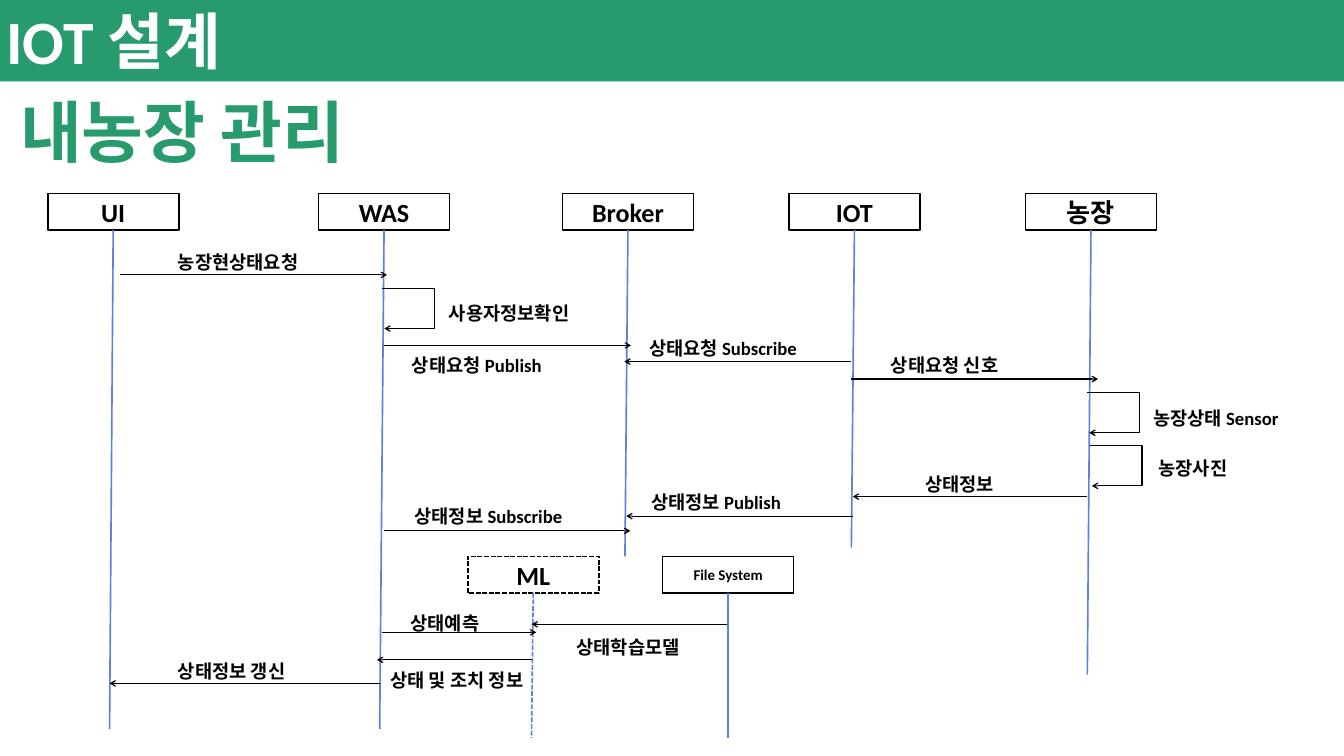
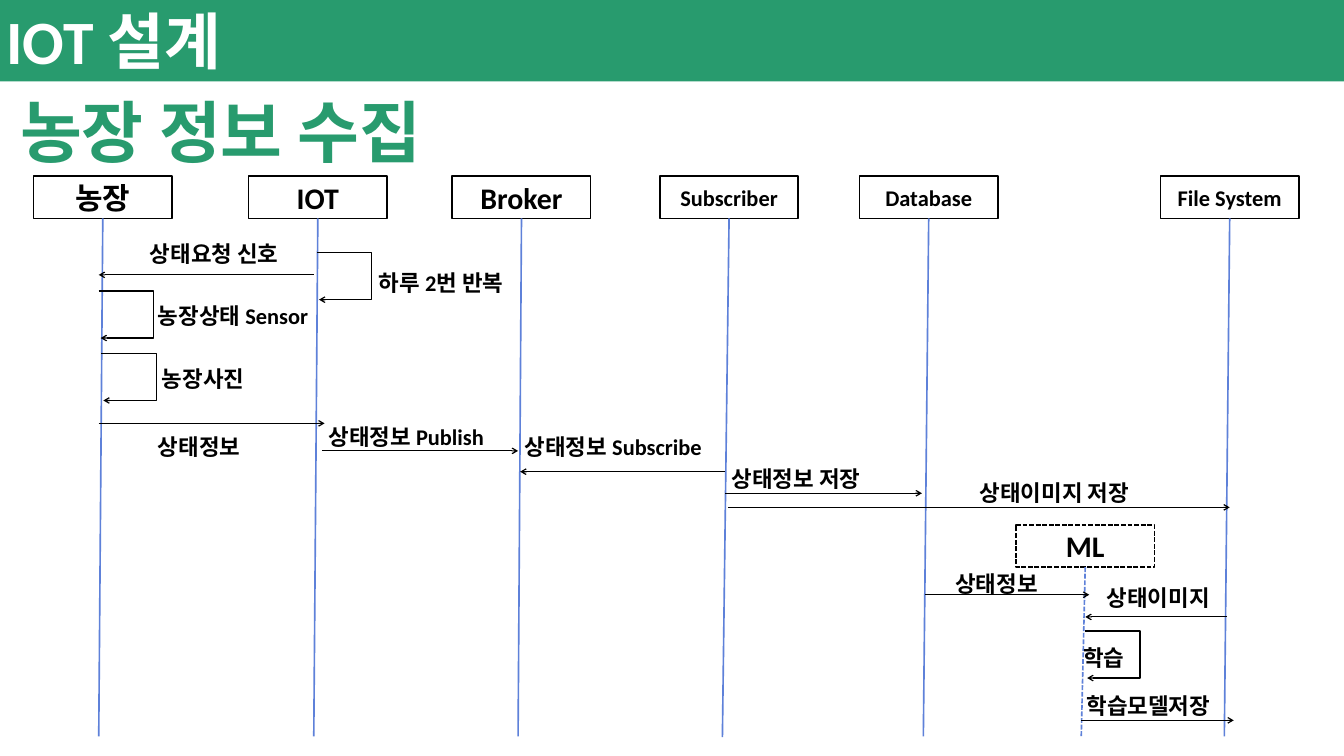
from lxml.etree import SubElement
from pptx import Presentation
from pptx.dml.color import RGBColor
from pptx.enum.dml import MSO_LINE
from pptx.enum.shapes import MSO_CONNECTOR, MSO_SHAPE
from pptx.enum.text import MSO_ANCHOR, MSO_AUTO_SIZE, PP_ALIGN
from pptx.oxml.ns import qn
from pptx.util import Pt

COLORS = {"green": "289B6E", "white": "FFFFFF", "black": "000000", "blue": "5E81D9"}
SLIDE_WIDTH, SLIDE_HEIGHT = 1440, 810
BOTTOM = 2

DIAGRAMS = [
    {
        "title": "내농장 관리",
        "style": {"box": (140.4, 38.9), "label": 20, "loop": (55.4, 43.2)},
        "participants": [
            ("UI", 51.1, 207.4, 28, (117.4, 781.2), False),
            ("WAS", 341.3, 207.4, 28, (406.8, 781.2), False),
            ("Broker", 602.6, 207.4, 28, (669.6, 596.2), False),
            ("IOT", 845.3, 207.4, 28, (912.2, 586.8), False),
            ("농장", 1098.7, 207.4, 28, (1165, 722.9), False),
            ("ML", 501.1, 596.2, 28, (569.5, 790.6), True),
            ("File System", 709.9, 596.2, 16, (780.1, 790.6), False),
        ],
        "messages": [
            ("농장현상태요청", (183.6, 265.7, 177.8), 128.2, 414.7, 294.5),
            ("상태요청 Publish", (434.2, 375.8, 181.4), 411.1, 676.1, 370.1),
            ("상태요청 Subscribe", (688.3, 357.1, 202.3), 911.5, 668.9, 387.4),
            ("상태요청 신호", (947.5, 375.1, 161.3), 911.5, 1176.5, 406.1),
            ("상태정보", (984.2, 503.3, 95), 1165, 913.7, 532.1),
            ("상태정보 Publish", (690.5, 522.7, 209.5), 913.7, 671, 553),
            ("상태정보 Subscribe", (437, 537.8, 203), 411.1, 675.4, 568.8),
            ("상태정보 갱신", (183.6, 703.4, 140.4), 406.8, 117.4, 732.2),
            ("상태예측", (432.7, 652.3, 95), 409, 574.6, 677.5),
            ("상태 및 조치 정보", (411.1, 713.5, 169.2), 569.5, 403.9, 707),
            ("상태학습모델", (610.6, 678.2, 135.4), 779, 569.5, 668.9),
        ],
        "loops": [
            ("사용자정보확인", (473.8, 319.7, 179.3), 409.7, 308.9),
            ("농장상태 Sensor", (1228.3, 432, 157), 1165, 420.5),
            ("농장사진", (1234.1, 486, 95), 1167.8, 477.4),
        ],
    },
    {
        "title": "농장 정보 수집",
        "style": {"box": (148.3, 45.4), "label": 24, "loop": (58.3, 50.4)},
        "participants": [
            ("농장", 36, 188.6, 32, (105.8, 789.1), False),
            ("IOT", 266.4, 188.6, 32, (336.2, 789.1), False),
            ("Broker", 484.6, 188.6, 32, (555.1, 789.1), False),
            ("Subscriber", 707, 188.6, 24, (774, 789.8), False),
            ("Database", 920.9, 188.6, 24, (989.3, 789.1), False),
            ("File System", 1243.4, 188.6, 24, (1311.8, 789.1), False),
            ("ML", 1088.6, 562.3, 32, (1158.5, 789.1), True),
        ],
        "messages": [
            ("상태요청 신호", (153.4, 253.4, 171.4), 336.2, 105.8, 294.5),
            ("상태정보", (162, 460.1, 121.7), 105.8, 347.8, 453.6),
            ("상태정보 Publish", (344.9, 449.3, 192.2), 344.9, 555.1, 483.1),
            ("상태정보 Subscribe", (555.1, 460.1, 268.6), 776.9, 557.3, 505.4),
            ("상태정보 저장", (776.9, 494.6, 171.4), 776.9, 987.8, 528.5),
            ("상태이미지 저장", (1042.6, 509.8, 195.1), 779.8, 1317.6, 543.6),
            ("상태정보", (1016.6, 607.7, 122.4), 991.4, 1167.1, 637.2),
            ("상태이미지", (1178.6, 622.8, 144.7), 1314.7, 1162.8, 661),
            ("학습모델저장", (1157, 738, 167), 1158.5, 1321.9, 771.8),
        ],
        "loops": [
            ("농장상태 Sensor", (162, 320.4, 187.9), 105.8, 311.8),
            ("농장사진", (166.3, 387.4, 121.7), 108.7, 378.7),
            ("하루 2번 반복", (398.9, 284.4, 166.3), 339.8, 270.7),
            ("학습", (1153.4, 686.2, 75.6), 1162.8, 676.1),
        ],
    },
]


class SequenceDiagram:
    """Draw the elements of a sequence diagram on a new slide."""

    def __init__(self, presentation, style):
        self.slide = presentation.slides.add_slide(presentation.slide_layouts[5])
        self.shapes = self.slide.shapes
        self.style = style

    def set_text(self, shape, text, size, color="black", align=PP_ALIGN.LEFT, anchor=MSO_ANCHOR.TOP):
        frame = shape.text_frame
        frame_format = {
            "text": text,
            "word_wrap": True,
            "auto_size": MSO_AUTO_SIZE.NONE,
            "vertical_anchor": anchor,
        }
        for name, value in frame_format.items():
            setattr(frame, name, value)
        paragraph = frame.paragraphs[0]
        paragraph.alignment = align
        font = paragraph.runs[0].font
        for name, value in {"name": "Calibri", "size": Pt(size), "bold": True}.items():
            setattr(font, name, value)
        font.color.rgb = RGBColor.from_string(COLORS[color])

    def stroke(self, line, color, width, dashed=False):
        line.color.rgb = RGBColor.from_string(COLORS[color])
        line.width = Pt(width)
        if dashed:
            line.dash_style = MSO_LINE.SQUARE_DOT

    def rectangle(self, left, top, width, height):
        shape = self.shapes.add_shape(
            MSO_SHAPE.RECTANGLE, Pt(left), Pt(top), Pt(width), Pt(height)
        )
        shape.shadow.inherit = False
        return shape

    def header(self, section, text):
        band = self.rectangle(0, 0, SLIDE_WIDTH, 87.1)
        band.fill.solid()
        band.fill.fore_color.rgb = RGBColor.from_string(COLORS["green"])
        band.line.fill.background()
        self.set_text(band, section, 66, "white")
        title = self.shapes.title
        place = {"left": 14.4, "top": 93.6, "width": 766.8, "height": 94.3}
        for name, value in place.items():
            setattr(title, name, Pt(value))
        self.set_text(title, text, 72, "green")

    def connector(self, kind, begin, end, color, width, dashed=False):
        connector = self.shapes.add_connector(kind, *(Pt(value) for value in begin + end))
        self.stroke(connector.line, color, width, dashed)
        SubElement(connector._element.spPr, qn("a:effectLst"))
        return connector

    def arrow(self, kind, begin, end):
        connector = self.connector(kind, begin, end, "black", 1.25)
        outline = connector._element.spPr.find(qn("a:ln"))
        SubElement(outline, qn("a:tailEnd"), type="arrow")
        return connector

    def participant(self, name, left, top, size, end, dashed):
        width, height = self.style["box"]
        box = self.rectangle(left, top, width, height)
        box.fill.background()
        self.stroke(box.line, "black", 1.75, dashed)
        self.set_text(box, name, size, align=PP_ALIGN.CENTER, anchor=MSO_ANCHOR.MIDDLE)
        begin = (left + width / 2, top + height)
        lifeline = self.connector(MSO_CONNECTOR.STRAIGHT, begin, end, "blue", 1.75, dashed)
        lifeline.begin_connect(box, BOTTOM)

    def label(self, text, left, top, width):
        size = self.style["label"]
        box = self.shapes.add_textbox(Pt(left), Pt(top), Pt(width), Pt(size * 1.2 + 7.2))
        self.set_text(box, text, size)

    def message(self, text, place, begin, end, y):
        self.arrow(MSO_CONNECTOR.STRAIGHT, (begin, y), (end, y))
        self.label(text, *place)

    def loop(self, text, place, x, y):
        reach, height = self.style["loop"]
        shift = 2
        connector = self.arrow(MSO_CONNECTOR.ELBOW, (x, y), (x + shift, y + height))
        guides = connector._element.spPr.find(qn("a:prstGeom")).get_or_add_avLst()
        bend = round(reach / shift * 100000)
        SubElement(guides, qn("a:gd"), name="adj1", fmla=f"val {bend}")
        self.label(text, *place)


def main():
    presentation = Presentation()
    presentation.slide_width = Pt(SLIDE_WIDTH)
    presentation.slide_height = Pt(SLIDE_HEIGHT)
    for content in DIAGRAMS:
        diagram = SequenceDiagram(presentation, content["style"])
        diagram.header("IOT 설계", content["title"])
        for participant in content["participants"]:
            diagram.participant(*participant)
        for message in content["messages"]:
            diagram.message(*message)
        for loop in content["loops"]:
            diagram.loop(*loop)
    presentation.save("out.pptx")


if __name__ == "__main__":
    main()
